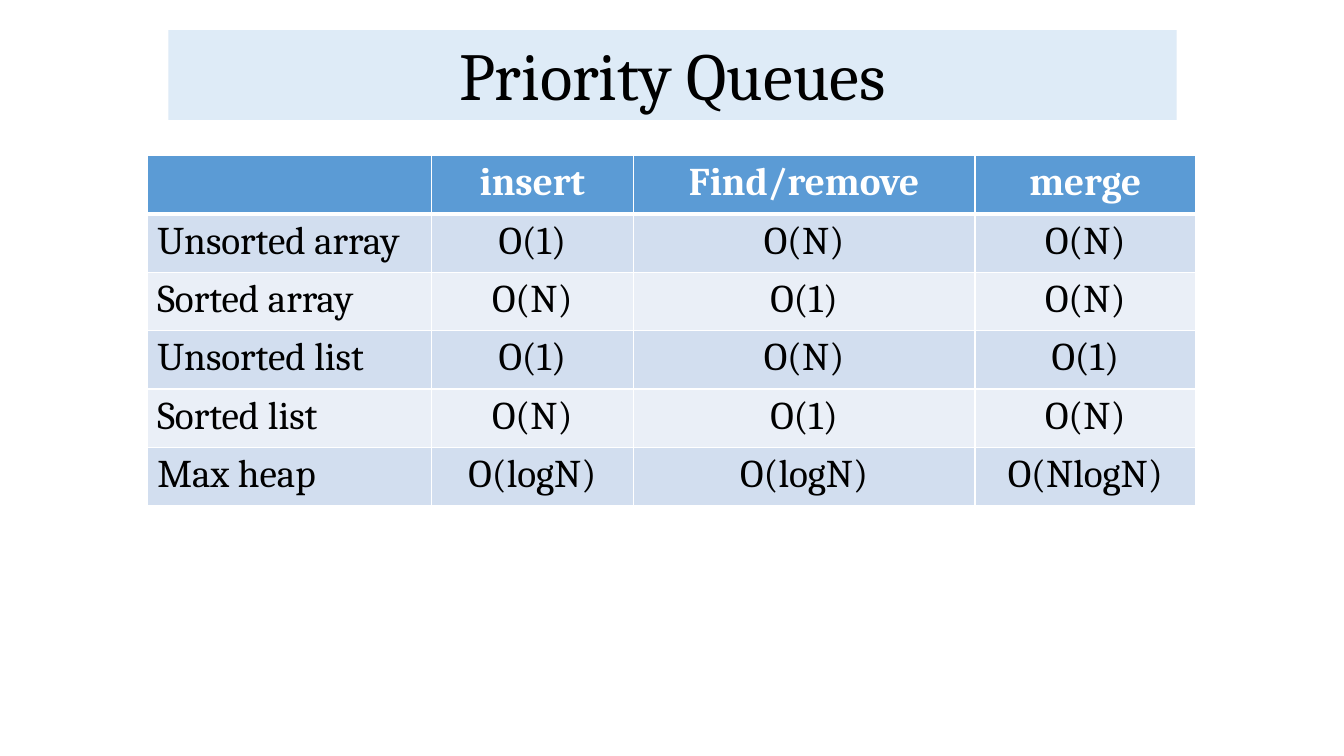
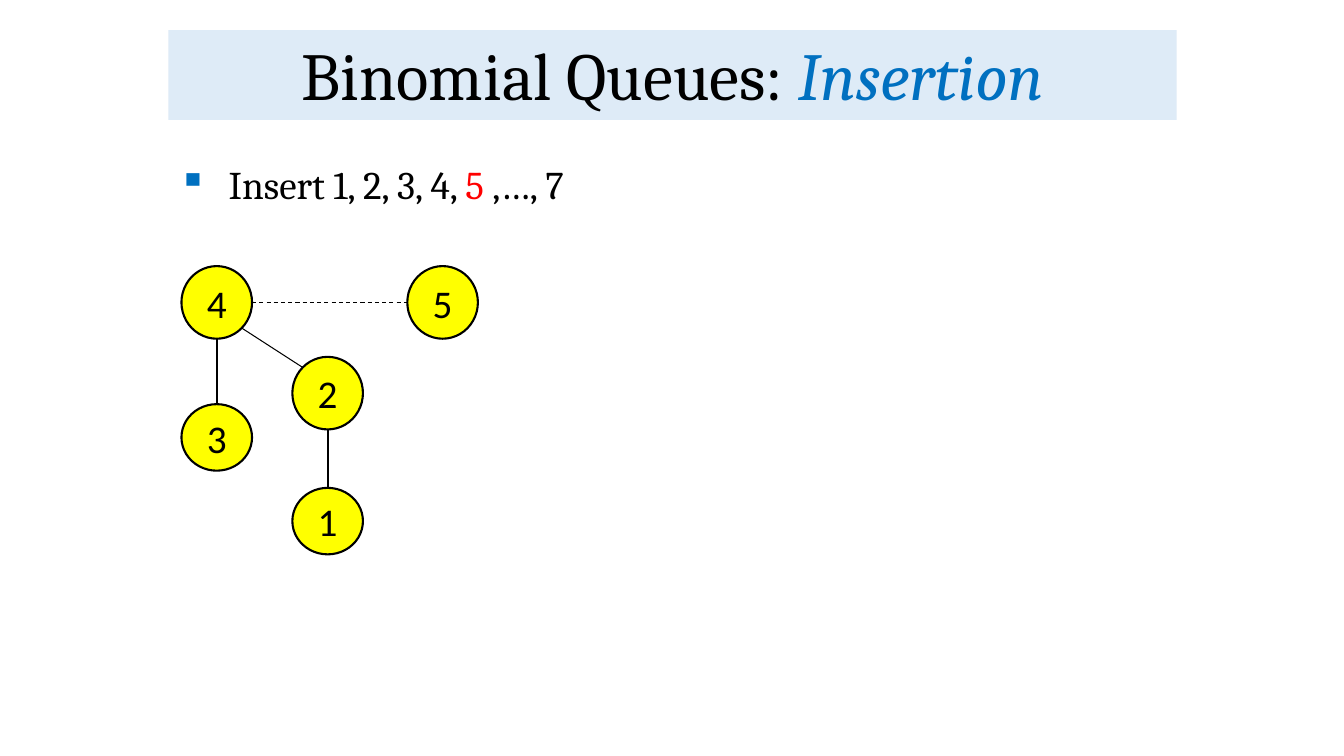
from dataclasses import dataclass
from math import cos, radians, sin

from pptx import Presentation
from pptx.dml.color import RGBColor
from pptx.enum.dml import MSO_LINE_DASH_STYLE as DASH
from pptx.enum.shapes import MSO_CONNECTOR, MSO_SHAPE
from pptx.enum.text import MSO_ANCHOR, MSO_AUTO_SIZE, PP_ALIGN
from pptx.oxml.ns import qn
from pptx.util import Inches, Pt
from lxml.etree import SubElement

# Colours and fonts
BLACK = RGBColor(0x00, 0x00, 0x00)
WHITE = RGBColor(0xFF, 0xFF, 0xFF)
BAND = RGBColor(0xDE, 0xEB, 0xF7)
BLUE = RGBColor(0x00, 0x70, 0xC0)
RED = RGBColor(0xFF, 0x00, 0x00)
YELLOW = RGBColor(0xFF, 0xFF, 0x00)
HEADER = RGBColor(0x5B, 0x9B, 0xD5)
ROW_FILLS = (RGBColor(0xD2, 0xDE, 0xEF), RGBColor(0xEA, 0xEF, 0xF7))
SERIF, SANS = "Cambria", "Calibri"

# Text formats
TITLE = {"name": SERIF, "size": Pt(48), "color": BLACK}
TITLE_ACCENT = TITLE | {"color": BLUE, "italic": True}
BODY = {"name": SERIF, "size": Pt(28), "color": BLACK}
BODY_ACCENT = BODY | {"color": RED}
TABLE_HEAD = BODY | {"color": WHITE, "bold": True}
TABLE_CELL = BODY | {"bold": False}
NODE_LABEL = BODY | {"name": SANS}

COST_TABLE = (
    ("", "insert", "Find/remove", "merge"),
    ("Unsorted array", "O(1)", "O(N)", "O(N)"),
    ("Sorted array", "O(N)", "O(1)", "O(N)"),
    ("Unsorted list", "O(1)", "O(N)", "O(1)"),
    ("Sorted list", "O(N)", "O(1)", "O(N)"),
    ("Max heap", "O(logN)", "O(logN)", "O(NlogN)"),
)
COL_WIDTHS = (2.82, 2, 3.39, 2.19)
ROW_HEIGHT = 0.58


@dataclass(frozen=True)
class Node:
    label: str
    left: float
    top: float
    height: float
    width: float = 0.7

    def edge(self, degrees: float) -> tuple[float, float]:
        """Point on the outline, clockwise from the right."""
        a = radians(degrees)
        return (self.left + self.width / 2 * (1 + cos(a)),
                self.top + self.height / 2 * (1 + sin(a)))


@dataclass(frozen=True)
class Link:
    start: str
    start_angle: float
    end: str
    end_angle: float
    width: float
    dashed: bool = False


NODES = {n.label: n for n in (
    Node("4", 1.8, 2.64, 0.72),
    Node("3", 1.8, 4.01, 0.66),
    Node("2", 2.9, 3.54, 0.72),
    Node("1", 2.9, 4.84, 0.66),
    Node("5", 4.04, 2.64, 0.72),
)}
LINKS = (
    Link("4", 90, "3", 270, 1.25),
    Link("2", 90, "1", 270, 1.25),
    Link("4", 45, "2", 225, 0.75),
    Link("4", 0, "5", 180, 0.75, dashed=True),
)


def add_run(p, text: str, fmt: dict) -> None:
    r = p.add_run()
    r.text = text
    for key, value in fmt.items():
        if key == "color":
            r.font.color.rgb = value
        else:
            setattr(r.font, key, value)


def add_titled_slide(prs, *runs: tuple[str, dict]):
    s = prs.slides.add_slide(prs.slide_layouts[5])
    sp = s.shapes.title
    sp.left, sp.top = Inches(1.67), Inches(0.3)
    sp.width, sp.height = Inches(10), Inches(0.89)
    sp.fill.solid()
    sp.fill.fore_color.rgb = BAND
    tf = sp.text_frame
    tf.auto_size = MSO_AUTO_SIZE.NONE
    tf.vertical_anchor = MSO_ANCHOR.BOTTOM
    p = tf.paragraphs[0]
    p.alignment, p.line_spacing = PP_ALIGN.CENTER, 0.9
    for text, fmt in runs:
        add_run(p, text, fmt)
    return s


def set_borders(cell, bottom: float) -> None:
    tc_pr = cell._tc.get_or_add_tcPr()
    for i, side in enumerate(("lnL", "lnR", "lnT", "lnB")):
        ln = tc_pr.makeelement(qn(f"a:{side}"),
                               {"w": str(Pt(bottom if side == "lnB" else 1))})
        fill = SubElement(ln, qn("a:solidFill"))
        SubElement(fill, qn("a:srgbClr"), val=str(WHITE))
        tc_pr.insert(i, ln)


def add_cost_table(s) -> None:
    table = s.shapes.add_table(
        len(COST_TABLE), len(COL_WIDTHS), Inches(1.46), Inches(1.54),
        Inches(sum(COL_WIDTHS)), Inches(ROW_HEIGHT * len(COST_TABLE))).table
    for column, width in zip(table.columns, COL_WIDTHS):
        column.width = Inches(width)
    for i, values in enumerate(COST_TABLE):
        table.rows[i].height = Inches(ROW_HEIGHT)
        for j, text in enumerate(values):
            cell = table.cell(i, j)
            cell.fill.solid()
            cell.fill.fore_color.rgb = ROW_FILLS[(i - 1) % 2] if i else HEADER
            # The rule under the header is heavier
            set_borders(cell, 1 if i else 3)
            p = cell.text_frame.paragraphs[0]
            p.alignment = PP_ALIGN.CENTER if j else PP_ALIGN.LEFT
            if text:
                add_run(p, text, TABLE_CELL if i else TABLE_HEAD)


def add_bullet(s, *runs: tuple[str, dict]) -> None:
    tf = s.shapes.add_textbox(Inches(1.67), Inches(1.54),
                              Inches(10), Inches(4.82)).text_frame
    tf.word_wrap = True
    p = tf.paragraphs[0]
    p_pr = p._p.get_or_add_pPr()
    p_pr.set("marL", str(Inches(0.5)))
    p_pr.set("indent", str(-Inches(0.5)))
    color = SubElement(p_pr, qn("a:buClr"))
    SubElement(color, qn("a:srgbClr"), val=str(BLUE))
    SubElement(p_pr, qn("a:buChar"), char="▪")
    for text, fmt in runs:
        add_run(p, text, fmt)


def add_node(s, node: Node) -> None:
    sp = s.shapes.add_shape(MSO_SHAPE.OVAL, Inches(node.left), Inches(node.top),
                            Inches(node.width), Inches(node.height))
    sp.shadow.inherit = False
    sp.fill.solid()
    sp.fill.fore_color.rgb = YELLOW
    sp.line.color.rgb, sp.line.width = BLACK, Pt(1.5)
    tf = sp.text_frame
    tf.word_wrap, tf.vertical_anchor = False, MSO_ANCHOR.MIDDLE
    p = tf.paragraphs[0]
    p.alignment = PP_ALIGN.CENTER
    add_run(p, node.label, NODE_LABEL)


def add_link(s, link: Link) -> None:
    ends = (*NODES[link.start].edge(link.start_angle),
            *NODES[link.end].edge(link.end_angle))
    line = s.shapes.add_connector(MSO_CONNECTOR.STRAIGHT,
                                  *(Inches(v) for v in ends))
    line.line.color.rgb, line.line.width = BLACK, Pt(link.width)
    if link.dashed:
        line.line.dash_style = DASH.DASH
    SubElement(line._element.spPr, qn("a:effectLst"))


def main() -> None:
    prs = Presentation()
    prs.slide_width, prs.slide_height = Inches(13.33), Inches(7.5)

    # Cost comparison
    s = add_titled_slide(prs, ("Priority Queues", TITLE))
    add_cost_table(s)

    # Insertion into a binomial queue
    s = add_titled_slide(prs, ("Binomial Queues: ", TITLE),
                         ("Insertion", TITLE_ACCENT))
    add_bullet(s, ("Insert 1, 2, 3, 4, ", BODY), ("5 ", BODY_ACCENT),
               (",…, 7", BODY))
    for node in NODES.values():
        add_node(s, node)
    for link in LINKS:
        add_link(s, link)

    prs.save("out.pptx")


if __name__ == "__main__":
    main()
